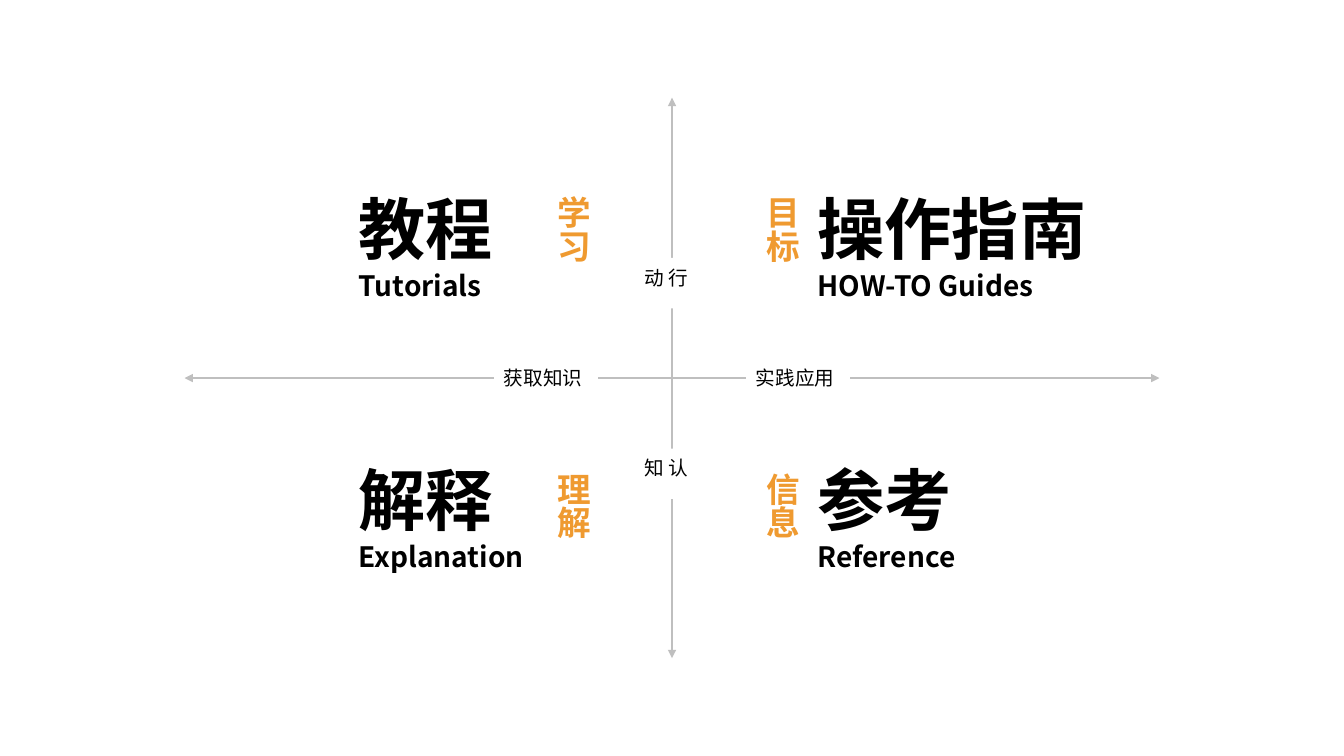
from lxml import etree
from pptx import Presentation
from pptx.dml.color import RGBColor
from pptx.enum.shapes import MSO_CONNECTOR, MSO_SHAPE
from pptx.enum.text import MSO_ANCHOR, MSO_AUTO_SIZE, PP_ALIGN
from pptx.oxml.ns import qn
from pptx.util import Inches, Pt

STRAIGHT = MSO_CONNECTOR.STRAIGHT
RECTANGLE = MSO_SHAPE.RECTANGLE
TOP = MSO_ANCHOR.TOP
GROW = MSO_AUTO_SIZE.SHAPE_TO_FIT_TEXT
JUSTIFY = PP_ALIGN.JUSTIFY

FONT = "Noto Sans CJK SC"
COLORS = {"axis": "BFBFBF", "paper": "FFFFFF", "ink": "000000", "tag": "EF9A30"}
TAG_WIDTH = 0.61


def color(name):
    return RGBColor.from_string(COLORS[name])


def write(shape, lines, color_name="ink", bold=False, vertical=False):
    frame = shape.text_frame
    frame.word_wrap = True
    frame.auto_size = GROW
    frame.vertical_anchor = TOP
    if vertical:
        frame._txBody.bodyPr.set("vert", "eaVert")
    frame.text = "\n".join(text for text, size in lines)
    for paragraph, (text, size) in zip(frame.paragraphs, lines):
        paragraph.alignment = JUSTIFY
        font = paragraph.runs[0].font
        font.name = FONT
        font.size = Pt(size)
        font.bold = bold
        font.color.rgb = color(color_name)
        etree.SubElement(font._element, qn("a:ea"), typeface=FONT)


def add_axis(slide, left, top, width, height):
    axis = slide.shapes.add_connector(
        STRAIGHT, Inches(left), Inches(top), Inches(left + width), Inches(top + height)
    )
    axis.line.color.rgb = color("axis")
    axis.line.width = Pt(2)
    line = axis.line._get_or_add_ln()
    for end in ("a:headEnd", "a:tailEnd"):
        etree.SubElement(line, qn(end), type="triangle")
    etree.SubElement(axis._element.spPr, qn("a:effectLst"))


def add_axis_label(slide, text, left, top, width, height, vertical):
    label = slide.shapes.add_shape(
        RECTANGLE, Inches(left), Inches(top), Inches(width), Inches(height)
    )
    label.shadow.inherit = False
    label.fill.solid()
    label.fill.fore_color.rgb = color("paper")
    label.line.fill.background()
    write(label, [(text, 14)], vertical=vertical)


def add_quadrant(slide, box, title, subtitle, tag, tag_first, tag_drop, tag_height):
    left, top, width, height = box
    title_width = width - TAG_WIDTH
    title_left = left + TAG_WIDTH if tag_first else left
    tag_left = left if tag_first else left + title_width
    shapes = slide.shapes.add_group_shape().shapes
    heading = shapes.add_textbox(
        Inches(title_left), Inches(top), Inches(title_width), Inches(height)
    )
    write(heading, [(title, 48), (subtitle, 20)], bold=True)
    tag_box = shapes.add_textbox(
        Inches(tag_left), Inches(top + tag_drop), Inches(TAG_WIDTH), Inches(tag_height)
    )
    write(tag_box, [(tag, 24)], "tag", bold=True, vertical=True)


def add_axes(slide, left, top, width, height):
    center_x, center_y = left + width / 2, top + height / 2
    add_axis(slide, left, center_y, width, 0)
    add_axis(slide, center_x, top, 0, height)
    for text, label_left in (("实践应用", 7.4), ("获取知识", 4.9)):
        add_axis_label(slide, text, label_left, center_y - 0.17, 1.03, 0.34, False)
    for text, label_top in (("行动", 2.56), ("认知", 4.45)):
        add_axis_label(slide, text, center_x - 0.22, label_top, 0.44, 0.5, True)


def build_quadrant_slide(presentation):
    slide = presentation.slides.add_slide(presentation.slide_layouts[6])
    add_axes(slide, 1.83, 0.97, 9.67, 5.56)
    rows = (
        (1.81, 0.04, 1.14, (
            (3.46, 2.47, "教程", "Tutorials", "学习", False),
            (7.4, 3.96, "操作指南", "HOW-TO Guides", "目标", True),
        )),
        (4.5, 0.09, 1.1, (
            (3.46, 2.47, "解释", "Explanation", "理解", False),
            (7.4, 2.41, "参考", "Reference", "信息", True),
        )),
    )
    for top, tag_drop, tag_height, quadrants in rows:
        for left, width, title, subtitle, tag, tag_first in quadrants:
            box = (left, top, width, 1.25)
            add_quadrant(slide, box, title, subtitle, tag, tag_first, tag_drop, tag_height)


def main():
    presentation = Presentation()
    presentation.slide_width = Inches(13.33)
    presentation.slide_height = Inches(7.5)
    build_quadrant_slide(presentation)
    presentation.save("out.pptx")


if __name__ == "__main__":
    main()
